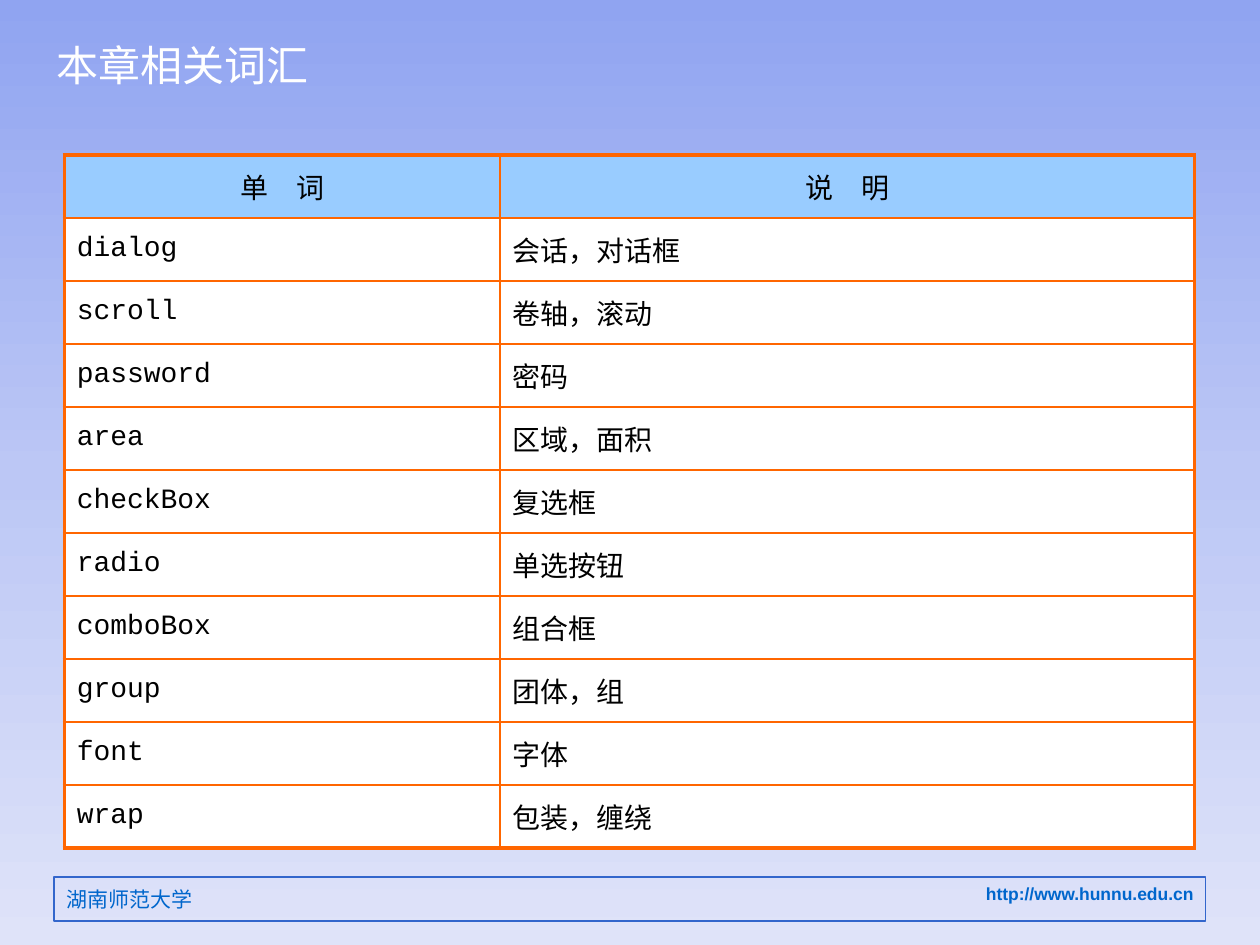
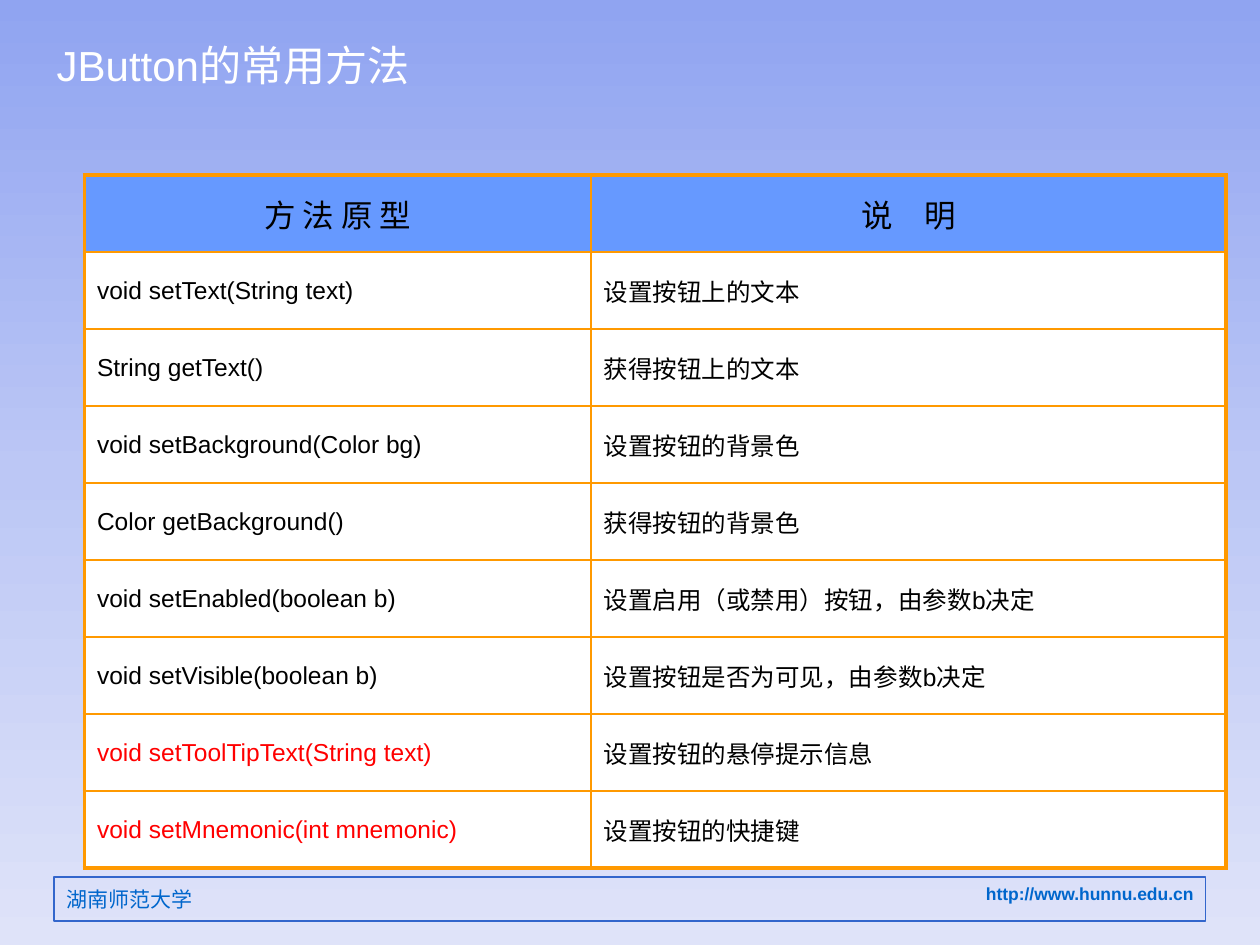
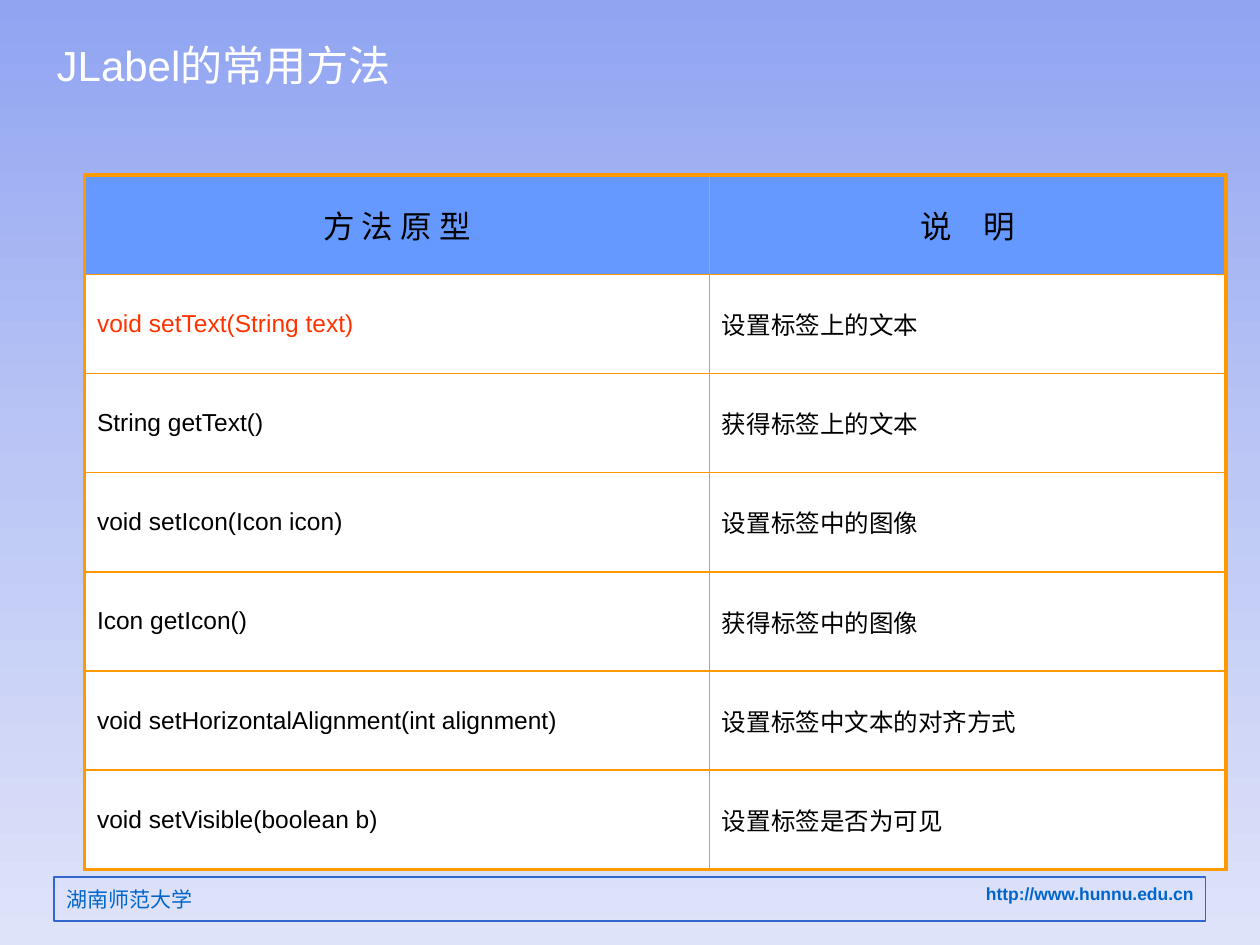
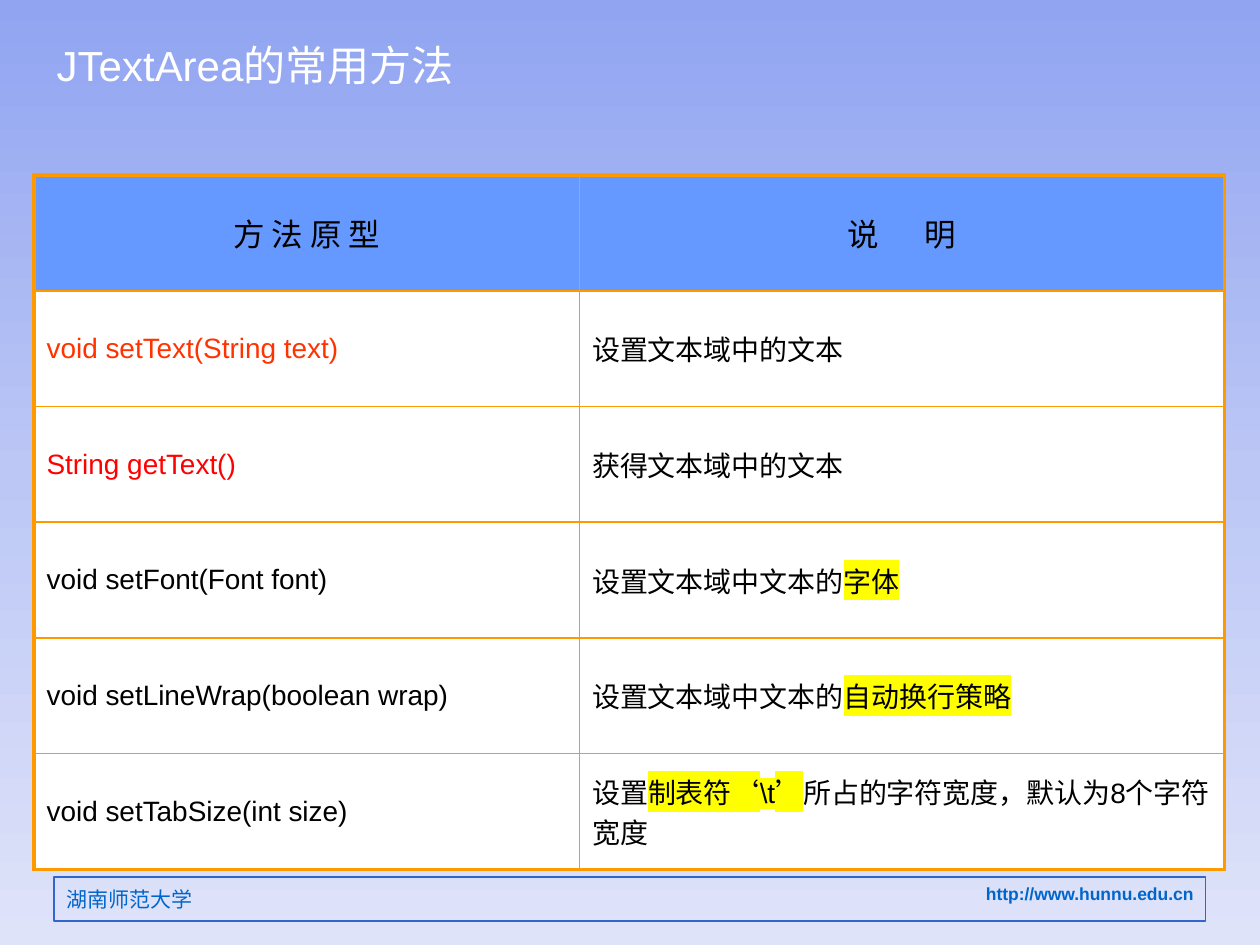
import copy

import lxml.etree
import pptx
import pptx.dml.color
import pptx.enum.dml
import pptx.enum.shapes
import pptx.enum.text
import pptx.oxml.ns
import pptx.util

Inches = pptx.util.Inches
Pt = pptx.util.Pt
qn = pptx.oxml.ns.qn
ALIGN = pptx.enum.text.PP_ALIGN
MIDDLE = pptx.enum.text.MSO_ANCHOR.MIDDLE

COLORS = {
    "sky_top": "90A4F1", "sky_middle": "BCC7F5", "sky_bottom": "DFE3F9",
    "footer_line": "3366CC", "footer_text": "0066CC",
    "white": "FFFFFF", "black": "000000", "red": "FF0000", "vermilion": "FF3300",
    "word_border": "FF6600", "word_header": "99CCFF",
    "method_border": "FF9900", "method_header": "6699FF", "marker": "FFFF00",
}

WORD_LOOK = {"border": "word_border", "inner": 1.5, "header": "word_header",
             "font": "Courier New", "header_size": 16, "size": 16, "spacing": 0}
METHOD_LOOK = {"border": "method_border", "inner": 1, "header": "method_header",
               "font": "Arial", "header_size": 18, "size": 14, "spacing": 0}

TABLES = [
    {"title": "本章相关词汇", "look": WORD_LOOK,
     "left": 0.51, "top": 1.23, "height": 5.5, "columns": [3.46, 5.51],
     "rows": [
         ("单　词", "说　明"),
         ("dialog", "会话，对话框"),
         ("scroll", "卷轴，滚动"),
         ("password", "密码"),
         ("area", "区域，面积"),
         ("checkBox", "复选框"),
         ("radio", "单选按钮"),
         ("comboBox", "组合框"),
         ("group", "团体，组"),
         ("font", "字体"),
         ("wrap", "包装，缠绕"),
     ]},
    {"title": "JButton的常用方法", "look": METHOD_LOOK,
     "left": 0.67, "top": 1.39, "height": 5.5, "columns": [4.02, 5.04],
     "rows": [
         ("方 法 原 型", "说　明"),
         ("void setText(String text)", "设置按钮上的文本"),
         ("String getText()", "获得按钮上的文本"),
         ("void setBackground(Color bg)", "设置按钮的背景色"),
         ("Color getBackground()", "获得按钮的背景色"),
         ("void setEnabled(boolean b)", "设置启用（或禁用）按钮，由参数b决定"),
         ("void setVisible(boolean b)", "设置按钮是否为可见，由参数b决定"),
         ("void setToolTipText(String text)", "设置按钮的悬停提示信息", "red"),
         ("void setMnemonic(int mnemonic)", "设置按钮的快捷键", "red"),
     ]},
    {"title": "JLabel的常用方法", "look": METHOD_LOOK,
     "left": 0.67, "top": 1.39, "height": 5.51, "columns": [4.96, 4.1],
     "rows": [
         ("方 法 原 型", "说　明"),
         ("void setText(String text)", "设置标签上的文本", "vermilion"),
         ("String getText()", "获得标签上的文本"),
         ("void setIcon(Icon icon)", "设置标签中的图像"),
         ("Icon getIcon()", "获得标签中的图像"),
         ("void setHorizontalAlignment(int alignment)", "设置标签中文本的对齐方式"),
         ("void setVisible(boolean b)", "设置标签是否为可见"),
     ]},
    {"title": "JTextArea的常用方法", "look": {**METHOD_LOOK, "size": 16, "spacing": 4},
     "left": 0.27, "top": 1.39, "height": 5.51, "columns": [4.33, 5.12],
     "rows": [
         ("方 法 原 型", "说　明"),
         ("void setText(String text)", "设置文本域中的文本", "vermilion"),
         ("String getText()", "获得文本域中的文本", "red"),
         ("void setFont(Font font)", "设置文本域中文本的|字体"),
         ("void setLineWrap(boolean wrap)", "设置文本域中文本的|自动换行策略"),
         ("void setTabSize(int size)", "设置|制表符‘\\t’|所占的字符宽度，默认为8个字符宽度"),
     ]},
]


def style_run(run, size, color, font="Arial", bold=False):
    run.font.size = Pt(size)
    run.font.name = font
    run.font.bold = bold
    run.font.color.rgb = pptx.dml.color.RGBColor.from_string(COLORS[color])


def add_border(cell, side, color, width):
    line = lxml.etree.SubElement(cell._tc.get_or_add_tcPr(), qn(f"a:ln{side}"), w=str(Pt(width)))
    fill = lxml.etree.SubElement(line, qn("a:solidFill"))
    lxml.etree.SubElement(fill, qn("a:srgbClr"), val=COLORS[color])


prs = pptx.Presentation()
prs.slide_width = Inches(10)
prs.slide_height = Inches(7.5)
master = prs.slide_master
slides = [prs.slides.add_slide(prs.slide_layouts[5]) for _ in TABLES]

sky = master.background.fill
sky.gradient()
sky.gradient_angle = 270
stop_list = master.element.xpath(".//p:bg//a:gsLst")[0]
stop_list.insert(1, copy.deepcopy(stop_list[0]))
for stop, color, position in zip(sky.gradient_stops, ("sky_top", "sky_middle", "sky_bottom"), (0, 0.5, 1)):
    stop.color.rgb = pptx.dml.color.RGBColor.from_string(COLORS[color])
    stop.position = position

address = slides[0].shapes.add_shape(
    pptx.enum.shapes.MSO_SHAPE.RECTANGLE, Inches(0.43), Inches(6.96), Inches(9.14), Inches(0.35))
address.shadow.inherit = False
address.fill.background()
address.line.color.rgb = pptx.dml.color.RGBColor.from_string(COLORS["footer_line"])
address.line.width = Pt(0.75)
address.text_frame.text = "http://www.hunnu.edu.cn"
address.text_frame.vertical_anchor = pptx.enum.text.MSO_ANCHOR.TOP
address.text_frame.paragraphs[0].alignment = ALIGN.RIGHT
style_run(address.text_frame.paragraphs[0].runs[0], 10, "footer_text", bold=True)

university = slides[0].shapes.add_textbox(Inches(0.43), Inches(6.99), Inches(3.94), Inches(0.3))
university.text_frame.word_wrap = True
university.text_frame.auto_size = pptx.enum.text.MSO_AUTO_SIZE.SHAPE_TO_FIT_TEXT
university.text_frame.text = "湖南师范大学"
style_run(university.text_frame.paragraphs[0].runs[0], 12, "footer_text", "Noto Sans CJK SC")

for number, footer in enumerate((address, university), start=20):
    footer._element.nvSpPr.cNvPr.set("id", str(number))
    master.shapes._spTree.append(footer._element)

for slide, content in zip(slides, TABLES):
    title = slide.shapes.title
    title.left, title.top, title.width, title.height = map(Inches, (0.35, 0.21, 5.52, 0.61))
    title.text_frame.text = content["title"]
    title.text_frame.vertical_anchor = MIDDLE
    title.text_frame.paragraphs[0].alignment = ALIGN.LEFT
    style_run(title.text_frame.paragraphs[0].runs[0], 24, "white")

    look, rows, columns = content["look"], content["rows"], content["columns"]
    glossary = slide.shapes.add_table(
        len(rows), len(columns), Inches(content["left"]), Inches(content["top"]),
        Inches(sum(columns)), Inches(content["height"])).table
    glossary.first_row = glossary.horz_banding = False
    for column, width in zip(glossary.columns, columns):
        column.width = Inches(width)

    for r, (term, meaning, *accent) in enumerate(rows):
        is_header = r == 0
        for c, wording in enumerate((term, meaning)):
            cell = glossary.cell(r, c)
            outer_sides = {"L": c == 0, "R": c == len(columns) - 1, "T": is_header, "B": r == len(rows) - 1}
            for side, is_outer in outer_sides.items():
                add_border(cell, side, look["border"], 2.25 if is_outer else look["inner"])
            cell.fill.solid()
            cell.fill.fore_color.rgb = pptx.dml.color.RGBColor.from_string(
                COLORS[look["header"] if is_header else "white"])
            cell.vertical_anchor = MIDDLE
            paragraph = cell.text_frame.paragraphs[0]
            paragraph.alignment = ALIGN.CENTER if is_header else ALIGN.LEFT
            for part, segment in enumerate(wording.split("|")):
                run = paragraph.add_run()
                run.text = segment
                color = accent[0] if accent and c == 0 else "black"
                style_run(run, look["header_size" if is_header else "size"], color, look["font"])
                properties = run._r.get_or_add_rPr()
                if is_header and c == 1 and look["spacing"]:
                    properties.set("spc", str(look["spacing"] * 100))
                if part % 2:
                    highlight = lxml.etree.Element(qn("a:highlight"))
                    lxml.etree.SubElement(highlight, qn("a:srgbClr"), val=COLORS["marker"])
                    properties.find(qn("a:solidFill")).addnext(highlight)

prs.save("out.pptx")
